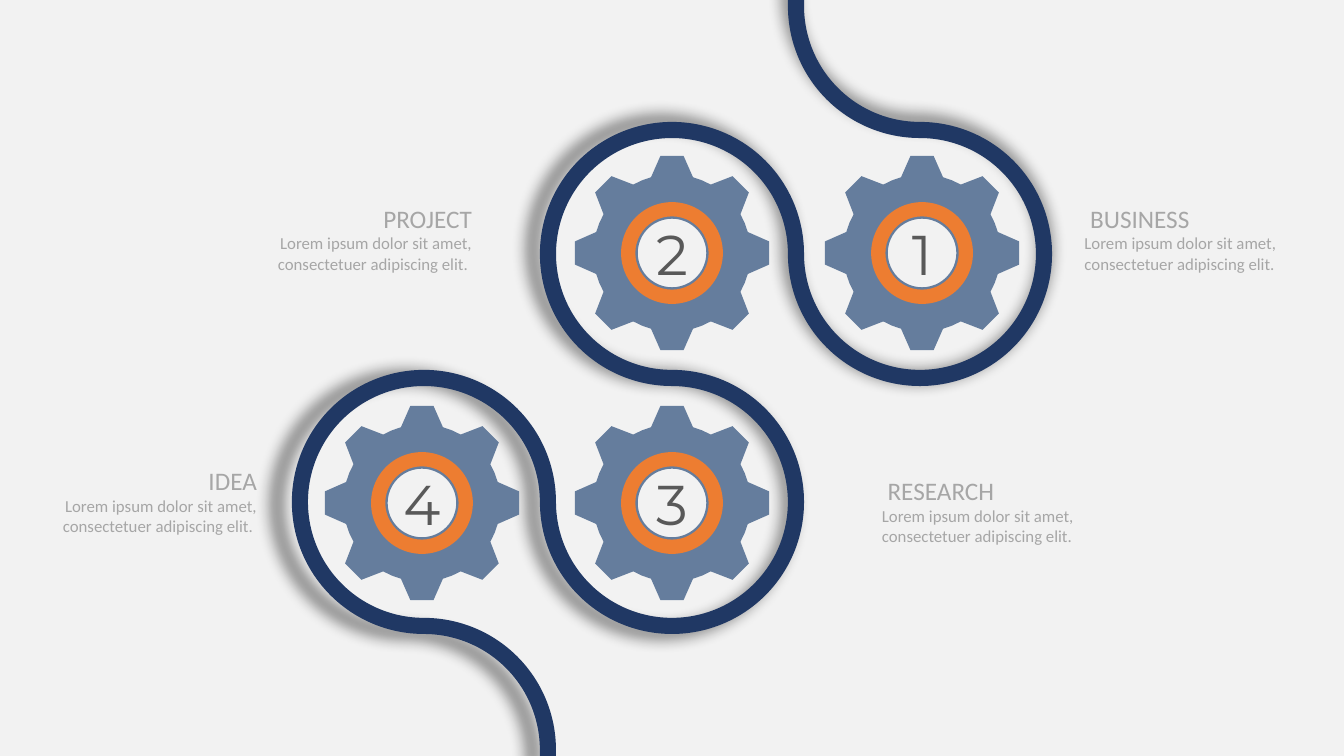
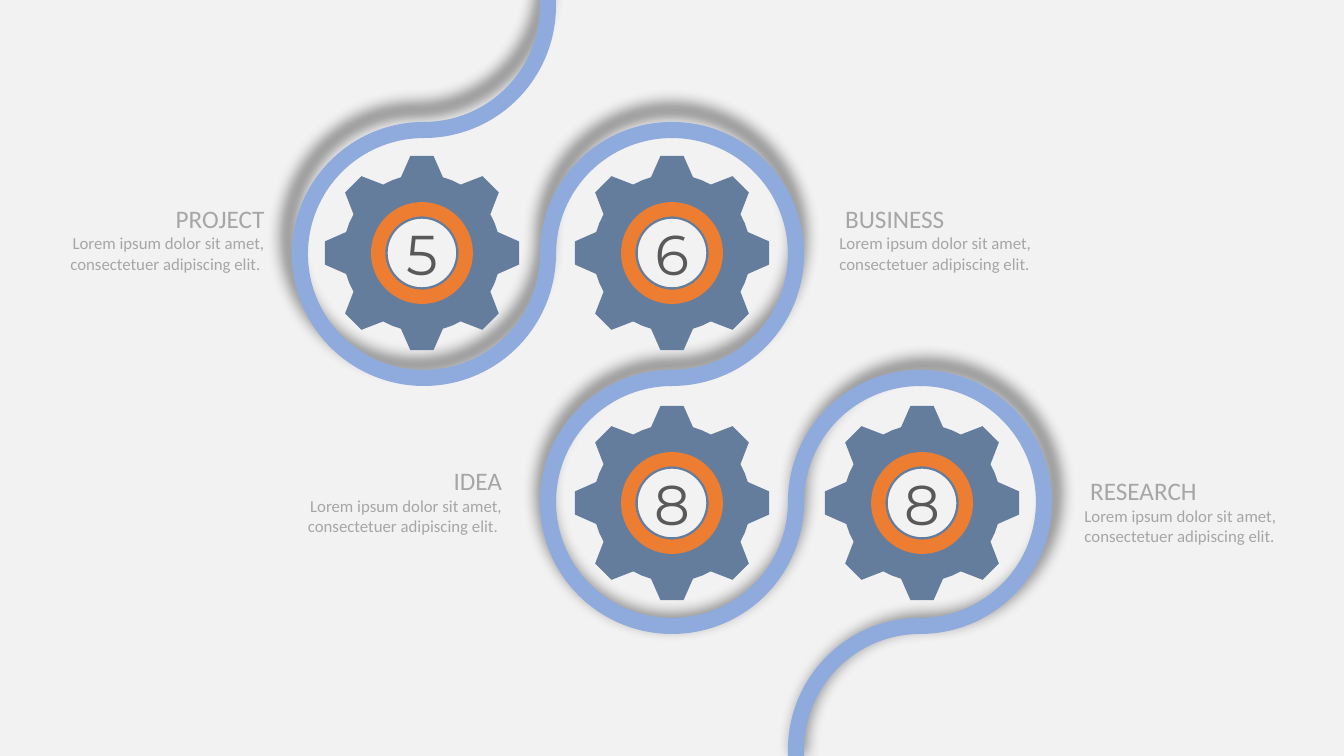
"""Build two gear roadmap slides whose winding ribbons mirror each other."""
from dataclasses import dataclass
from math import cos, radians, sin

from lxml import etree
from pptx import Presentation
from pptx.dml.color import RGBColor
from pptx.enum import shapes, text
from pptx.oxml import ns
from pptx.util import Inches, Pt


@dataclass(frozen=True)
class Theme:
    paper: str = "F2F2F2"
    gear: str = "657D9D"
    ring: str = "ED7D31"
    heading: tuple = ("Calibri", 18, "A6A6A6")
    body: tuple = ("Calibri", 12, "A6A6A6")
    number: tuple = ("Montserrat", 40, "595959")


THEME = Theme()
WIDTH, HEIGHT = 13.33, 7.5
PITCH = 2.48
BEND, HALF_BAND = 1.23, 0.08
TIP, ROOT, HOLE = 0.97, 0.78, 0.34
TOOTH = [(ROOT, -15.5), (TIP, -6.8), (TIP, 6.8), (ROOT, 15.5), (ROOT, 22.5)]
RING, RING_SHARE = 1.01, 0.14
NUMBER_WIDTH, NUMBER_HEIGHT = 0.88, 0.77
LABEL_HEIGHT = 1.04
LABEL_WIDTHS = {"RIGHT": 2.43, "LEFT": 2.74}
LOREM = "Lorem ipsum dolor sit amet, consectetuer adipiscing elit."

STOPS = [(1, -0.5), (0, -0.5), (0, 0.5), (-1, 0.5)]
ARCS = [
    (1, -1.5, 180, -90),
    (1, -0.5, 270, 270),
    (0, -0.5, 0, -270),
    (0, 0.5, 270, 270),
    (-1, 0.5, 0, -270),
    (-1, 1.5, 270, 90),
]
PAGES = [
    {
        "flip": 1, "ribbon": "203864", "shadow_anchor": "r", "numbers": "1234",
        "labels": [
            ("PROJECT", -1.74, -0.72, "RIGHT"),
            ("IDEA", -2.6, 0.33, "RIGHT"),
            (" BUSINESS", 1.61, -0.72, "LEFT"),
            (" RESEARCH", 0.8, 0.37, "LEFT"),
        ],
    },
    {
        "flip": -1, "ribbon": "8FAADC", "shadow_anchor": "b", "numbers": "5688",
        "labels": [
            ("PROJECT", -2.57, -0.72, "RIGHT"),
            ("IDEA", -1.62, 0.33, "RIGHT"),
            (" BUSINESS", 0.63, -0.72, "LEFT"),
            (" RESEARCH", 1.61, 0.37, "LEFT"),
        ],
    },
]


def draw_outline(page, contours, color):
    builder, bends = None, []
    for contour in contours:
        nodes = []
        for x, y, *arc in contour:
            if not arc:
                nodes.append((x, y, None))
                continue
            radius, start, sweep = arc
            quarter = 90 if sweep > 0 else -90
            for step in range(abs(sweep) // 90 + 1):
                angle = start + step * quarter
                bend = (radius, angle - quarter, quarter) if step else None
                nodes.append((x + radius * cos(radians(angle)), y + radius * sin(radians(angle)), bend))
        points = [(Inches(x), Inches(y)) for x, y, _ in nodes]
        if builder is None:
            builder = page.shapes.build_freeform(*points[0])
        else:
            builder.move_to(*points[0])
        builder.add_line_segments(points[1:], close=True)
        bends += [bend for _, _, bend in nodes[1:]]
    shape = builder.convert_to_shape()
    for line, bend in zip(list(shape._element.iter(ns.qn("a:lnTo"))), bends):
        if bend:
            radius, start, sweep = bend
            size = str(Inches(radius))
            curve = etree.Element(
                ns.qn("a:arcTo"), wR=size, hR=size,
                stAng=str(start % 360 * 60000), swAng=str(sweep * 60000))
            line.getparent().replace(line, curve)
    shape.shadow.inherit = False
    shape.fill.solid()
    shape.fill.fore_color.rgb = RGBColor.from_string(color)
    shape.line.fill.background()
    return shape


def write(page, left, top, width, height, align, lines):
    box = page.shapes.add_textbox(*map(Inches, (left, top, width, height)))
    box.text_frame.word_wrap = True
    box.text_frame.auto_size = text.MSO_AUTO_SIZE.SHAPE_TO_FIT_TEXT
    for index, (words, (face, size, color)) in enumerate(lines):
        para = box.text_frame.add_paragraph() if index else box.text_frame.paragraphs[0]
        para.alignment = text.PP_ALIGN[align]
        span = para.add_run()
        span.text = words
        for name, value in {"name": face, "size": Pt(size)}.items():
            setattr(span.font, name, value)
        span.font.color.rgb = RGBColor.from_string(color)


deck = Presentation()
deck.slide_width, deck.slide_height = Inches(WIDTH), Inches(HEIGHT)
backdrop = deck.slide_master.background.fill
backdrop.solid()
backdrop.fore_color.rgb = RGBColor.from_string(THEME.paper)

for plan in PAGES:
    page = deck.slides.add_slide(deck.slide_layouts[6])
    flip = plan["flip"]

    down = [
        (column * flip, row, start if flip > 0 else 180 - start, sweep * flip)
        for column, row, start, sweep in ARCS
    ]
    up = [(column, row, start + sweep, -sweep) for column, row, start, sweep in down[::-1]]
    outline = []
    for route, side, ends in ((down, HALF_BAND, (0, HEIGHT)), (up, -HALF_BAND, (HEIGHT, 0))):
        first, last = [
            (WIDTH / 2 + side + flip * (-BEND if end else BEND), end) for end in ends
        ]
        arcs = [
            (WIDTH / 2 + column * 2 * BEND, HEIGHT / 2 + row * 2 * BEND,
             BEND + (HALF_BAND if sweep > 0 else -HALF_BAND), start, sweep)
            for column, row, start, sweep in route
        ]
        outline += [first, *arcs, last]
    ribbon = draw_outline(page, [outline], plan["ribbon"])
    effects = ribbon._element.spPr.find(ns.qn("a:effectLst"))
    shadow = etree.SubElement(
        effects, ns.qn("a:outerShdw"), blurRad=str(Pt(10)), sx="103000", sy="103000",
        algn=plan["shadow_anchor"], rotWithShape="0")
    tint = etree.SubElement(shadow, ns.qn("a:srgbClr"), val="000000")
    etree.SubElement(tint, ns.qn("a:alpha"), val="40000")

    for (column, row), number in zip(STOPS, plan["numbers"]):
        x, y = WIDTH / 2 + flip * column * PITCH, HEIGHT / 2 + row * PITCH
        teeth = [
            (x + radius * cos(radians(tooth * 45 + turn)), y + radius * sin(radians(tooth * 45 + turn)))
            for tooth in range(8)
            for radius, turn in TOOTH
        ]
        draw_outline(page, [teeth, [(x, y, HOLE, 0, -360)]], THEME.gear)

        ring = page.shapes.add_shape(
            shapes.MSO_SHAPE.DONUT,
            *map(Inches, (x - RING / 2, y - RING / 2, RING, RING)))
        ring.adjustments[0] = RING_SHARE
        ring.shadow.inherit = False
        ring.fill.solid()
        ring.fill.fore_color.rgb = RGBColor.from_string(THEME.ring)
        ring.line.fill.background()
        write(page, x - NUMBER_WIDTH / 2, y - NUMBER_HEIGHT / 2, NUMBER_WIDTH, NUMBER_HEIGHT,
              "CENTER", [(number, THEME.number)])

    for heading, column, row, align in plan["labels"]:
        body = LOREM + " " if align == "RIGHT" else LOREM
        write(page, WIDTH / 2 + column * PITCH, HEIGHT / 2 + row * PITCH,
              LABEL_WIDTHS[align], LABEL_HEIGHT, align,
              [(heading, THEME.heading), (body, THEME.body)])

deck.save("out.pptx")
